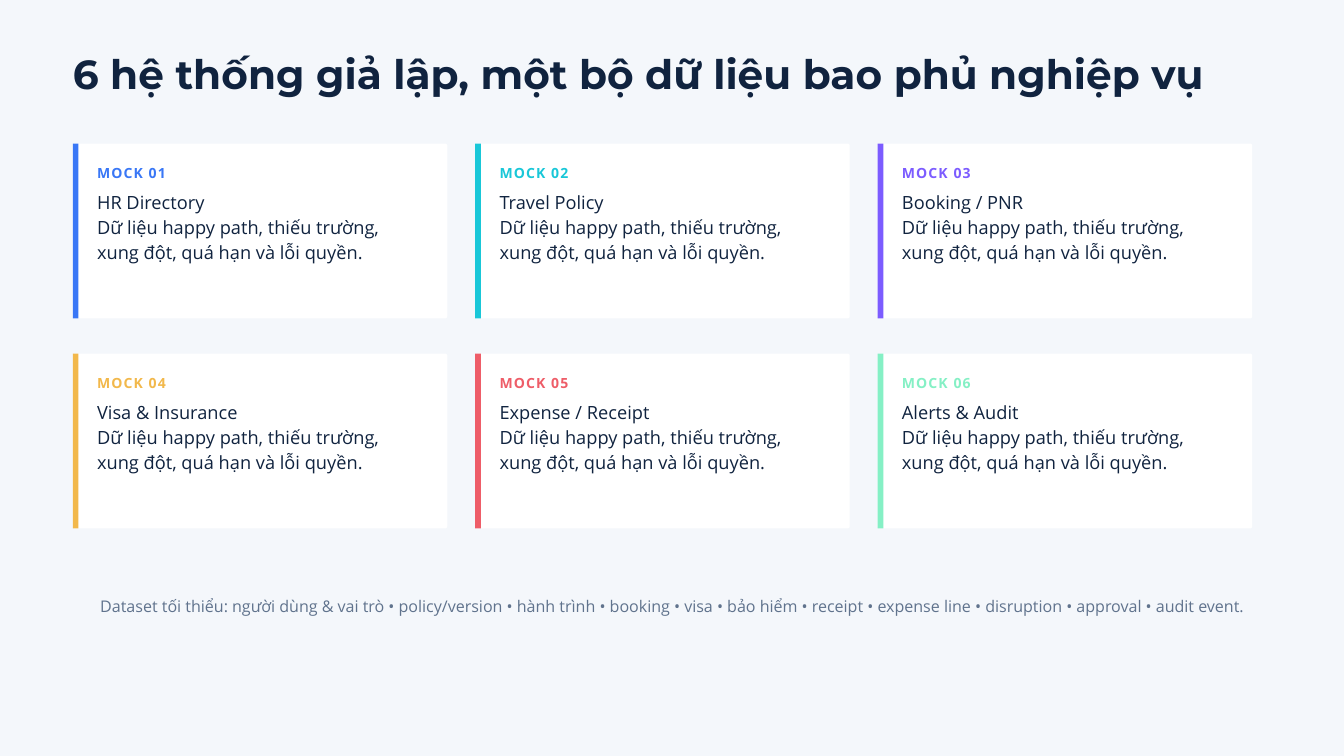
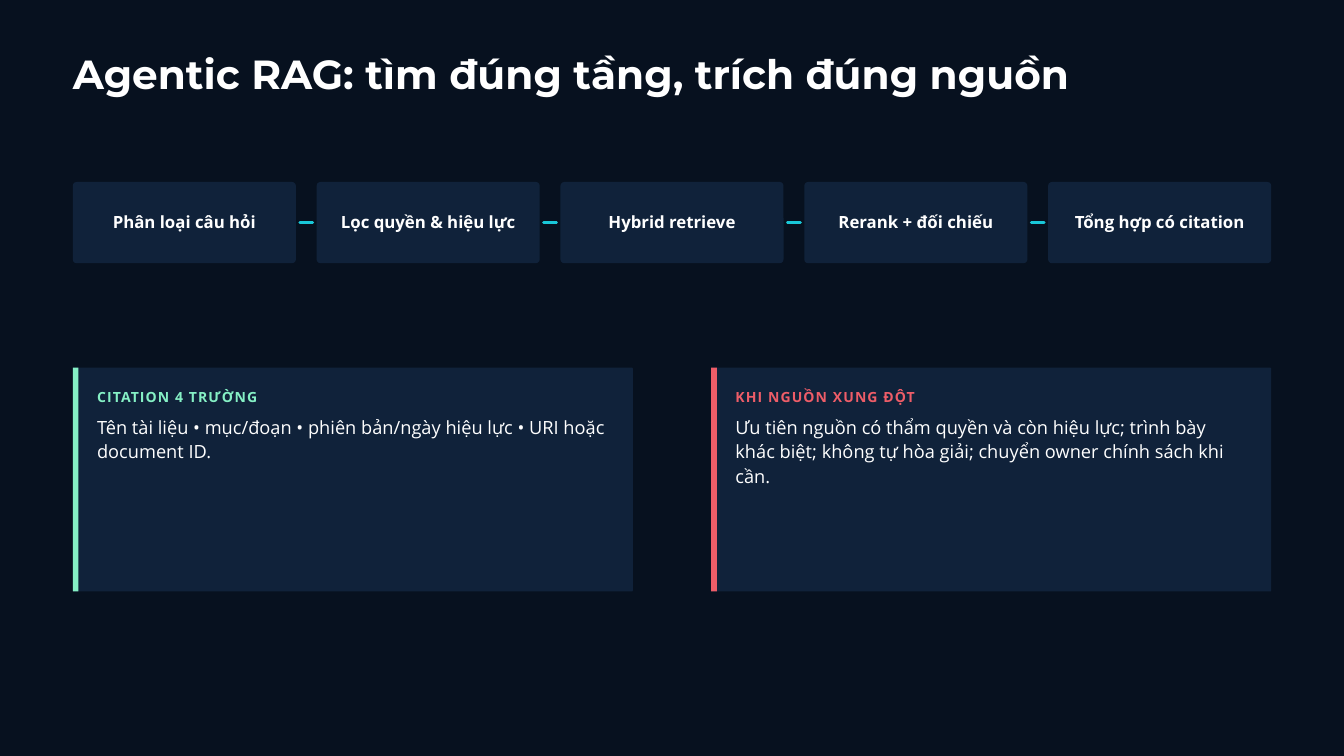
"""Builds two slides: the six mock systems and the agentic RAG flow."""
from lxml import etree
from pptx import Presentation
from pptx.dml.color import RGBColor
from pptx.enum import shapes, text
from pptx.oxml import ns
from pptx.util import Pt

COLORS = {
    "paper": "F4F7FB", "night": "07111F", "ink": "10233F", "panel": "10223A",
    "white": "FFFFFF", "muted": "60738D", "blue": "3977F6", "cyan": "19C7D8",
    "violet": "7C5CFF", "amber": "F2B84B", "red": "EE5D68", "mint": "85F0C5",
}
HEAD, BODY = "Montserrat", "Open Sans"

MOCK_TITLE = "6 hệ thống giả lập, một bộ dữ liệu bao phủ nghiệp vụ"
MOCK_BODY = "Dữ liệu happy path, thiếu trường, xung đột, quá hạn và lỗi quyền."
MOCKS = [
    ("HR Directory", "blue"),
    ("Travel Policy", "cyan"),
    ("Booking / PNR", "violet"),
    ("Visa & Insurance", "amber"),
    ("Expense / Receipt", "red"),
    ("Alerts & Audit", "mint"),
]
DATASET = ("Dataset tối thiểu: người dùng & vai trò • policy/version • hành trình • "
           "booking • visa • bảo hiểm • receipt • expense line • disruption • "
           "approval • audit event.")

RAG_TITLE = "Agentic RAG: tìm đúng tầng, trích đúng nguồn"
STEPS = ["Phân loại câu hỏi", "Lọc quyền & hiệu lực", "Hybrid retrieve",
         "Rerank + đối chiếu", "Tổng hợp có citation"]
RULES = [
    ("CITATION 4 TRƯỜNG", "mint",
     "Tên tài liệu • mục/đoạn • phiên bản/ngày hiệu lực • URI hoặc document ID."),
    ("KHI NGUỒN XUNG ĐỘT", "red",
     "Ưu tiên nguồn có thẩm quyền và còn hiệu lực; trình bày khác biệt; "
     "không tự hòa giải; chuyển owner chính sách khi cần."),
]

LEFT, WIDTH = 78, 1284
MOCK_W, MOCK_H, MOCK_TOP, MOCK_DX, MOCK_DY = 401.2, 187.2, 153.9, 431.2, 225
STEP_W, STEP_H, STEP_TOP = 239, 87, 195
RULE_W, RULE_H, RULE_TOP = 600, 239.7, 394
BAR_W, PAD = 6, 26


def rgb(name):
    return RGBColor.from_string(COLORS[name])


def write(tf, lines, size, color, leading, font=BODY, bold=False,
          align=text.PP_ALIGN.LEFT, spacing=0, inset=0):
    tf.word_wrap = True
    tf.margin_left = tf.margin_right = tf.margin_top = tf.margin_bottom = Pt(inset)
    for i, line in enumerate(lines):
        p = tf.paragraphs[0] if i == 0 else tf.add_paragraph()
        p.alignment = align
        p.line_spacing = Pt(leading)
        r = p.add_run()
        r.text = line
        r.font.name, r.font.size, r.font.bold = font, Pt(size), bold
        r.font.color.rgb = rgb(color)
        if spacing:
            r._r.get_or_add_rPr().set("spc", str(round(spacing * 100)))


def label(parent, x, y, w, h, lines, **fmt):
    tf = parent.add_textbox(Pt(x), Pt(y), Pt(w), Pt(h)).text_frame
    write(tf, lines, **fmt)
    tf.auto_size = text.MSO_AUTO_SIZE.SHAPE_TO_FIT_TEXT


def box(parent, x, y, w, h, color, radius=0):
    kind = shapes.MSO_SHAPE.ROUNDED_RECTANGLE if radius else shapes.MSO_SHAPE.RECTANGLE
    sp = parent.add_shape(kind, Pt(x), Pt(y), Pt(w), Pt(h))
    if radius:
        sp.adjustments[0] = radius / min(w, h)
    sp.shadow.inherit = False
    sp.fill.solid()
    sp.fill.fore_color.rgb = rgb(color)
    sp.line.fill.background()
    return sp


def card(s, x, y, w, h, heading, lines, accent, fill, ink, body_h, radius):
    parent = s.shapes.add_group_shape().shapes
    box(parent, x, y, w, h, fill, radius)
    box(parent, x, y, BAR_W, h, accent)
    label(parent, x + PAD, y + 19.2, w - 2 * PAD, 19.5, [heading],
          size=15, color=accent, leading=21, bold=True, spacing=1.2)
    label(parent, x + PAD, y + 48.7, w - 2 * PAD, body_h, lines,
          size=19.5, color=ink, leading=26.3)


def dash(s, x1, x2, y):
    ln = s.shapes.add_connector(shapes.MSO_CONNECTOR.STRAIGHT, Pt(x1), Pt(y), Pt(x2), Pt(y))
    ln.line.color.rgb = rgb("cyan")
    ln.line.width = Pt(3)
    ln.line._get_or_add_ln().set("cap", "rnd")
    etree.SubElement(ln._element.spPr, ns.qn("a:effectLst"))


def new_slide(prs, title, background, ink):
    s = prs.slides.add_slide(prs.slide_layouts[6])
    s.background.fill.solid()
    s.background.fill.fore_color.rgb = rgb(background)
    label(s.shapes, LEFT, 59, WIDTH, 47, [title],
          size=43.5, color=ink, leading=45.2, font=HEAD, bold=True)
    return s


def mock_slide(prs):
    s = new_slide(prs, MOCK_TITLE, "paper", "ink")
    for i, (name, accent) in enumerate(MOCKS):
        row, col = divmod(i, 3)
        card(s, LEFT + col * MOCK_DX, MOCK_TOP + row * MOCK_DY, MOCK_W, MOCK_H,
             f"MOCK {i + 1:02}", [name, MOCK_BODY], accent, "white", "ink", 78, 2)
    label(s.shapes, LEFT, 636, WIDTH, 22.5, [DATASET], size=17.2, color="muted",
          leading=23.3, align=text.PP_ALIGN.CENTER)


def rag_slide(prs):
    s = new_slide(prs, RAG_TITLE, "night", "white")
    pitch = (WIDTH - STEP_W) / (len(STEPS) - 1)
    for i, step in enumerate(STEPS):
        x = LEFT + i * pitch
        if i:
            dash(s, x - pitch + STEP_W + 4.2, x - 4.2, STEP_TOP + STEP_H / 2)
        sp = box(s.shapes, x, STEP_TOP, STEP_W, STEP_H, "panel", 4)
        write(sp.text_frame, [step], size=18, color="white", leading=20.7, bold=True,
              align=text.PP_ALIGN.CENTER, inset=4.5)
        sp.text_frame.vertical_anchor = text.MSO_ANCHOR.MIDDLE
    for i, (heading, accent, body) in enumerate(RULES):
        card(s, LEFT + i * (WIDTH - RULE_W), RULE_TOP, RULE_W, RULE_H,
             heading, [body], accent, "panel", "white", 78, 1)


def main():
    prs = Presentation()
    prs.slide_width, prs.slide_height = Pt(1440), Pt(810)
    mock_slide(prs)
    rag_slide(prs)
    prs.save("out.pptx")


if __name__ == "__main__":
    main()
